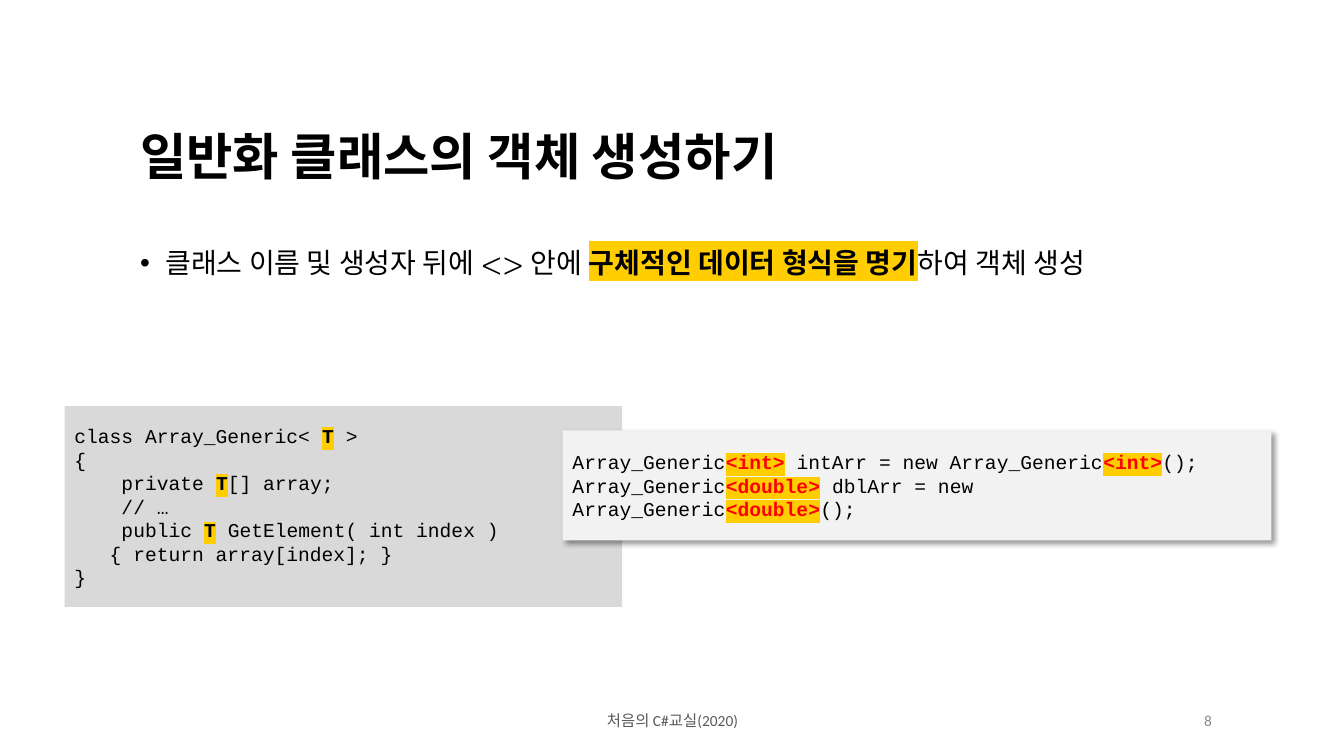
from dataclasses import dataclass

from lxml import etree
from pptx import Presentation
from pptx.dml.color import RGBColor
from pptx.enum.shapes import MSO_SHAPE
from pptx.enum.text import MSO_ANCHOR, MSO_AUTO_SIZE, PP_ALIGN
from pptx.oxml.ns import qn
from pptx.util import Inches, Pt

RECTANGLE = MSO_SHAPE.RECTANGLE
TOP, MIDDLE = MSO_ANCHOR.TOP, MSO_ANCHOR.MIDDLE
NO_AUTOFIT = MSO_AUTO_SIZE.NONE
LEFT, CENTER, RIGHT = PP_ALIGN.LEFT, PP_ALIGN.CENTER, PP_ALIGN.RIGHT
TITLE_AND_CONTENT = 1


@dataclass(frozen=True)
class Theme:
    text: str = "000000"
    accent: str = "FF0000"
    highlight: str = "FFCD00"
    footer: str = "595959"
    number: str = "8C8C8C"
    class_panel: str = "D9D9D9"
    usage_panel: str = "F2F2F2"
    heading_font: str = "TeX Gyre Pagella"
    code_font: str = "Courier New"
    footer_font: str = "Calibri"
    title_size: int = 36
    body_size: int = 20
    code_size: int = 14
    footer_size: int = 11


THEME = Theme()
MARK = "*"

TITLE = "일반화 클래스의 객체 생성하기"
BODY = "클래스 이름 및 생성자 뒤에 <> 안에 *구체적인 데이터 형식을 명기*하여 객체 생성"
CLASS_CODE = [
    "class Array_Generic< *T* >",
    "{",
    "    private *T*[] array;",
    "    // …",
    "    public *T* GetElement( int index ) ",
    "   { return array[index]; }",
    "}",
]
USAGE_CODE = [
    "Array_Generic*<int>* intArr = new Array_Generic*<int>*();",
    "Array_Generic*<double>* dblArr = new Array_Generic*<double>*();",
]


def apply_format(target, values):
    for name, value in values.items():
        setattr(target, name, value)


def place(box, left, top, width, height):
    sides = {"left": left, "top": top, "width": width, "height": height}
    apply_format(box, {name: Inches(value) for name, value in sides.items()})


def highlight_span(span):
    fill = span.font._element.find(qn("a:solidFill"))
    marker = etree.Element(qn("a:highlight"))
    etree.SubElement(marker, qn("a:srgbClr"), val=THEME.highlight)
    fill.addnext(marker)


def add_span(para, text, font, size, color, bold):
    span = para.add_run()
    span.text = text
    span.font.color.rgb = RGBColor.from_string(color)
    apply_format(span.font, {"name": font, "size": Pt(size), "bold": bold})
    return span


def write_lines(box, lines, font, size, color=THEME.text, marked_color=THEME.text,
                bold=False, anchor=MIDDLE, para_format=None):
    frame = box.text_frame
    apply_format(frame, {"word_wrap": True, "auto_size": NO_AUTOFIT,
                         "vertical_anchor": anchor})
    for index, line in enumerate(lines):
        para = frame.add_paragraph() if index else frame.paragraphs[0]
        apply_format(para, {"alignment": LEFT, **(para_format or {})})
        for position, text in enumerate(line.split(MARK)):
            marked = position % 2 == 1
            span = add_span(para, text, font, size,
                            marked_color if marked else color, bold or marked)
            if marked:
                highlight_span(span)


def set_insets(box, inset):
    sides = ("left", "top", "right", "bottom")
    apply_format(box.text_frame, {f"margin_{side}": Inches(inset) for side in sides})


def fill_placeholder(box, area, text, size, bold, space_before):
    place(box, *area)
    set_insets(box, 0.1)
    write_lines(box, [text], THEME.heading_font, size, bold=bold, anchor=TOP,
                para_format={"line_spacing": 0.9, "space_before": Pt(space_before)})


def hang_bullet(para, indent):
    properties = para._p.get_or_add_pPr()
    properties.set("marL", str(Inches(indent)))
    properties.set("indent", str(-Inches(indent)))


def add_code_panel(page, area, lines, fill, marked_color):
    panel = page.shapes.add_shape(RECTANGLE, *map(Inches, area))
    panel.shadow.inherit = False
    panel.fill.solid()
    panel.fill.fore_color.rgb = RGBColor.from_string(fill)
    panel.line.fill.background()
    write_lines(panel, lines, THEME.code_font, THEME.code_size,
                marked_color=marked_color)
    return panel


def add_drop_shadow(panel):
    effects = panel._element.spPr.find(qn("a:effectLst"))
    shadow = etree.SubElement(effects, qn("a:outerShdw"), blurRad=str(Pt(4)),
                              dist=str(Pt(3)), dir=str(45 * 60000),
                              algn="tl", rotWithShape="0")
    color = etree.SubElement(shadow, qn("a:srgbClr"), val=THEME.text)
    etree.SubElement(color, qn("a:alpha"), val="40000")


def add_footer(page, area, text, color, alignment):
    box = page.shapes.add_textbox(*map(Inches, area))
    write_lines(box, [text], THEME.footer_font, THEME.footer_size, color,
                para_format={"alignment": alignment})


def main():
    deck = Presentation()
    apply_format(deck, {"slide_width": Inches(13.33), "slide_height": Inches(7.5)})
    page = deck.slides.add_slide(deck.slide_layouts[TITLE_AND_CONTENT])

    add_footer(page, (4.42, 6.95, 4.5, 0.4), "처음의 C#교실(2020)", THEME.footer, CENTER)
    add_footer(page, (9.42, 6.95, 2.7, 0.4), "8", THEME.number, RIGHT)

    title, body = page.placeholders
    fill_placeholder(title, (1.29, 1.21, 10.48, 0.9), TITLE, THEME.title_size, True, 6)
    fill_placeholder(body, (1.29, 2.37, 10.48, 1.91), BODY, THEME.body_size, False, 0)
    hang_bullet(body.text_frame.paragraphs[0], 0.25)

    add_code_panel(page, (0.64, 4.03, 5.53, 1.99), CLASS_CODE,
                   THEME.class_panel, THEME.text)
    usage = add_code_panel(page, (5.58, 4.27, 7.03, 1.09), USAGE_CODE,
                           THEME.usage_panel, THEME.accent)
    add_drop_shadow(usage)

    deck.save("out.pptx")


main()
